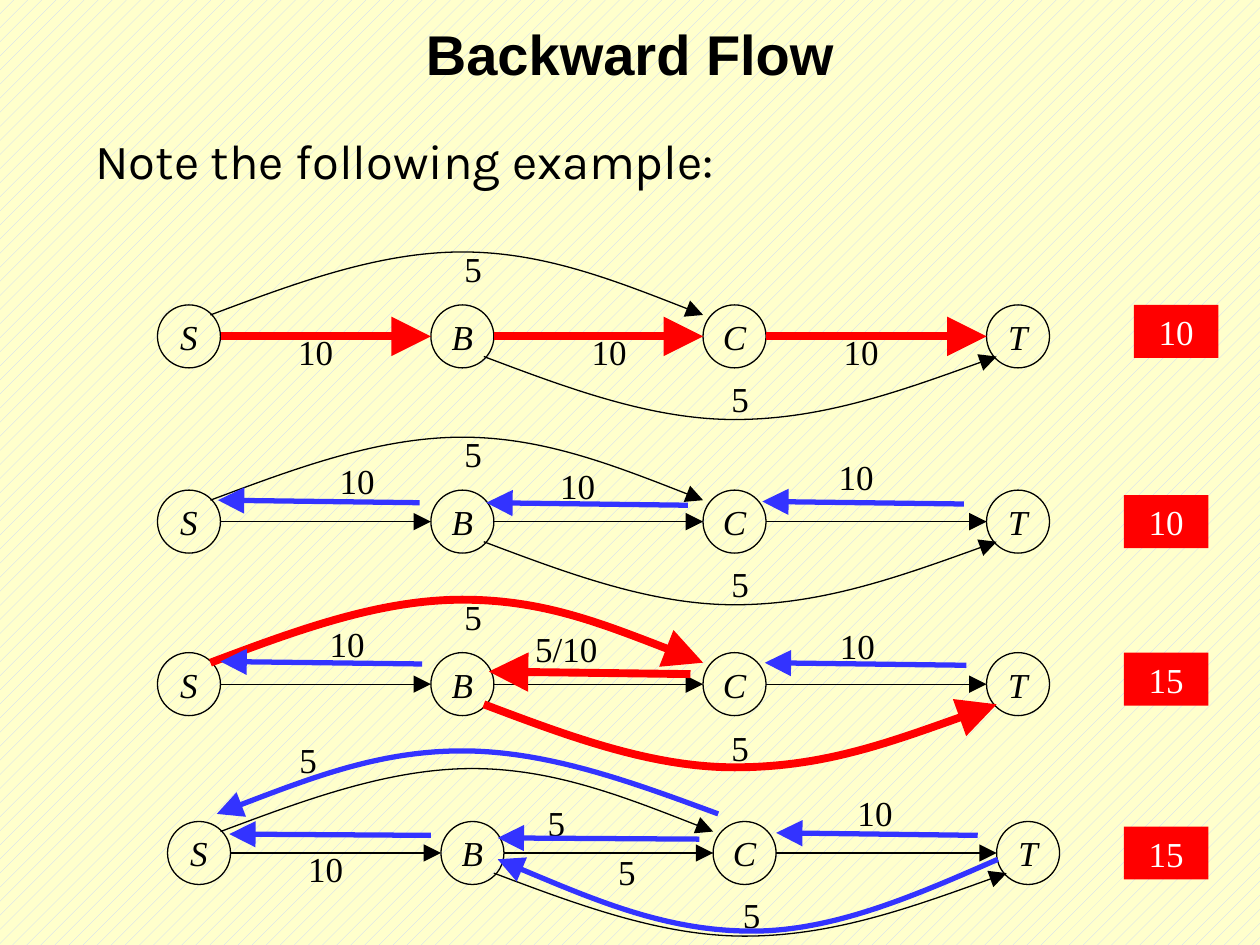
from lxml.etree import SubElement
from pptx import Presentation
from pptx.dml.color import RGBColor
from pptx.enum.dml import MSO_PATTERN
from pptx.enum.shapes import MSO_CONNECTOR, MSO_SHAPE
from pptx.enum.text import MSO_ANCHOR as Anchor, PP_ALIGN as Align
from pptx.oxml.ns import qn
from pptx.util import Inches, Pt

BLACK, WHITE, RED, BLUE = "000000", "FFFFFF", "FF0000", "3333FF"
THIN = (BLACK, 0.75)
AUGMENT = (RED, 4.5)
BACKWARD = (BLUE, 3)
NODES = {"S": 1.25, "B": 3.42, "C": 5.58, "T": 7.83}
DIAMETER = 0.5
LABEL_WIDTH, LABEL_HEIGHT = 0.67, 0.42

# Labels are (text, left, top); backward edges are (from, to, style);
# backward arcs are (start, apex, end).
STAGES = [
    dict(left=0, top=2.42, edge=AUGMENT, arc=THIN, flow="10", flow_at=(9, 2.42),
         labels=[("10", 2.17, 2.58), ("5", 5.54, 2.95), ("5", 3.42, 1.92),
                 ("10", 6.5, 2.58), ("10", 4.5, 2.58)],
         backward=[], backward_arcs=[]),
    dict(left=0, top=3.89, edge=THIN, arc=THIN, flow="10", flow_at=(8.92, 3.93),
         labels=[("10", 2.5, 3.6), ("5", 5.54, 4.42), ("5", 3.42, 3.39),
                 ("10", 6.46, 3.57), ("10", 4.25, 3.64)],
         backward=[((3.33, 3.99), (1.73, 3.97), BACKWARD),
                   ((5.46, 4.01), (3.86, 3.99), BACKWARD),
                   ((7.65, 4), (6.05, 3.98), BACKWARD)],
         backward_arcs=[]),
    dict(left=0, top=5.18, edge=THIN, arc=AUGMENT, flow="15", flow_at=(8.92, 5.18),
         labels=[("10", 2.42, 4.9), ("5", 5.54, 5.72), ("5", 3.42, 4.68),
                 ("10", 6.47, 4.91), ("5/10", 4.16, 4.94)],
         backward=[((3.35, 5.27), (1.75, 5.25), BACKWARD),
                   ((5.48, 5.35), (3.88, 5.33), AUGMENT),
                   ((7.67, 5.28), (6.07, 5.26), BACKWARD)],
         backward_arcs=[]),
    dict(left=0.08, top=6.52, edge=THIN, arc=THIN, flow="15", flow_at=(8.92, 6.56),
         labels=[("10", 2.25, 6.68), ("5", 5.63, 7.05), ("5", 2.11, 5.82),
                 ("10", 6.61, 6.24), ("5", 4.08, 6.32), ("5", 4.64, 6.71)],
         backward=[((3.42, 6.63), (1.82, 6.62), BACKWARD),
                   ((5.55, 6.66), (3.95, 6.65), BACKWARD),
                   ((7.76, 6.63), (6.16, 6.61), BACKWARD)],
         backward_arcs=[((5.7, 6.46), (3.67, 5.96), (1.72, 6.46)),
                        ((7.92, 6.82), (5.97, 7.39), (3.95, 6.82))]),
]


def rgb(color):
    return RGBColor.from_string(color)


def write(shape, text, size=20, font="Times New Roman", color=BLACK, bold=False,
          italic=False, align=Align.CENTER, anchor=Anchor.MIDDLE, wrap=False):
    frame = shape.text_frame
    frame.word_wrap = wrap
    frame.vertical_anchor = anchor
    paragraph = frame.paragraphs[0]
    paragraph.alignment = align
    run = paragraph.add_run()
    run.text = text
    run.font.size = Pt(size)
    run.font.name = font
    run.font.bold = bold
    run.font.italic = italic
    run.font.color.rgb = rgb(color)
    return paragraph


def add_label(slide, text, left, top):
    box = slide.shapes.add_textbox(*map(Inches, (left, top, LABEL_WIDTH, LABEL_HEIGHT)))
    box.text_frame.margin_left = box.text_frame.margin_right = 0
    write(box, text)


def add_node(slide, name, left, top):
    node = slide.shapes.add_shape(
        MSO_SHAPE.OVAL, *map(Inches, (left, top, DIAMETER, DIAMETER)))
    node.shadow.inherit = False
    node.fill.background()
    node.line.color.rgb = rgb(BLACK)
    node.line.width = Pt(0.75)
    write(node, name, italic=True)


def add_flow_box(slide, text, left, top):
    box = slide.shapes.add_shape(
        MSO_SHAPE.RECTANGLE, *map(Inches, (left, top, LABEL_WIDTH, LABEL_HEIGHT)))
    box.shadow.inherit = False
    box.fill.solid()
    box.fill.fore_color.rgb = rgb(RED)
    box.line.fill.background()
    write(box, text, color=WHITE)


def style_arrow(line, style):
    color, width = style
    line.color.rgb = rgb(color)
    line.width = Pt(width)
    SubElement(line._get_or_add_ln(), qn("a:tailEnd"), type="triangle", w="lg", len="lg")


def add_edge(slide, start, end, style):
    edge = slide.shapes.add_connector(
        MSO_CONNECTOR.STRAIGHT, *map(Inches, (*start, *end)))
    style_arrow(edge.line, style)
    SubElement(edge._element.spPr, qn("a:effectLst"))


def control_points(end, apex):
    """Return the Bezier controls between an end of an arc and its flat apex."""
    step = (apex[0] - end[0]) / 3
    return [(end[0] + step, (end[1] + apex[1]) / 2), (end[0] + 2 * step, apex[1])]


def add_arc(slide, start, apex, end, style):
    """Draw an arrow of two cubic curves that meet at the apex."""
    points = [*control_points(start, apex), apex,
              *reversed(control_points(end, apex)), end]
    builder = slide.shapes.build_freeform(Inches(start[0]), Inches(start[1]))
    builder.add_line_segments([(Inches(x), Inches(y)) for x, y in points], close=False)
    arc = builder.convert_to_shape()
    outline = next(arc._element.iter(qn("a:path")))
    segments = outline.findall(qn("a:lnTo"))
    for first in (0, 3):
        curve = SubElement(outline, qn("a:cubicBezTo"))
        for segment in segments[first:first + 3]:
            curve.append(segment[0])
            outline.remove(segment)
    arc.shadow.inherit = False
    arc.fill.background()
    style_arrow(arc.line, style)


def add_stage(slide, stage):
    top = stage["top"]
    lefts = {name: left + stage["left"] for name, left in NODES.items()}
    for name, left in lefts.items():
        add_node(slide, name, left, top)
    middle = top + DIAMETER / 2
    for source, target in ("SB", "BC", "CT"):
        add_edge(slide, (lefts[source] + DIAMETER, middle), (lefts[target], middle),
                 stage["edge"])
    add_arc(slide, (lefts["S"] + 0.42, top + 0.08), (lefts["B"] + 0.25, top - 0.42),
            (lefts["C"], top + 0.08), stage["arc"])
    add_arc(slide, (lefts["B"] + 0.42, top + 0.41), (lefts["C"] + 0.25, top + 0.91),
            (lefts["T"] + 0.08, top + 0.41), stage["arc"])
    for label in stage["labels"]:
        add_label(slide, *label)
    for edge in stage["backward"]:
        add_edge(slide, *edge)
    for arc in stage["backward_arcs"]:
        add_arc(slide, *arc, BACKWARD)
    add_flow_box(slide, stage["flow"], *stage["flow_at"])


def set_background(slide):
    fill = slide.background.fill
    fill.patterned()
    fill.pattern = MSO_PATTERN.PERCENT_10
    fill.fore_color.rgb = rgb("C2D1FF")
    fill.back_color.rgb = rgb("FFFFCC")


def add_headings(slide):
    title = slide.shapes.title
    title.left, title.top, title.width, title.height = map(
        Inches, (0.75, 0.11, 8.5, 0.75))
    paragraph = write(title, "Backward Flow", size=32, font="Arial", bold=True, wrap=True)
    paragraph.line_spacing = 0.7
    note = slide.shapes.add_textbox(*map(Inches, (0.66, 0.99, 7.07, 0.57)))
    write(note, "Note the following example:", size=28, font="Karla",
          align=Align.LEFT, anchor=Anchor.TOP, wrap=True)


def main():
    presentation = Presentation()
    presentation.slide_width, presentation.slide_height = Inches(10), Inches(7.5)
    slide = presentation.slides.add_slide(presentation.slide_layouts[5])
    set_background(slide)
    add_headings(slide)
    for stage in STAGES:
        add_stage(slide, stage)
    presentation.save("out.pptx")


if __name__ == "__main__":
    main()
